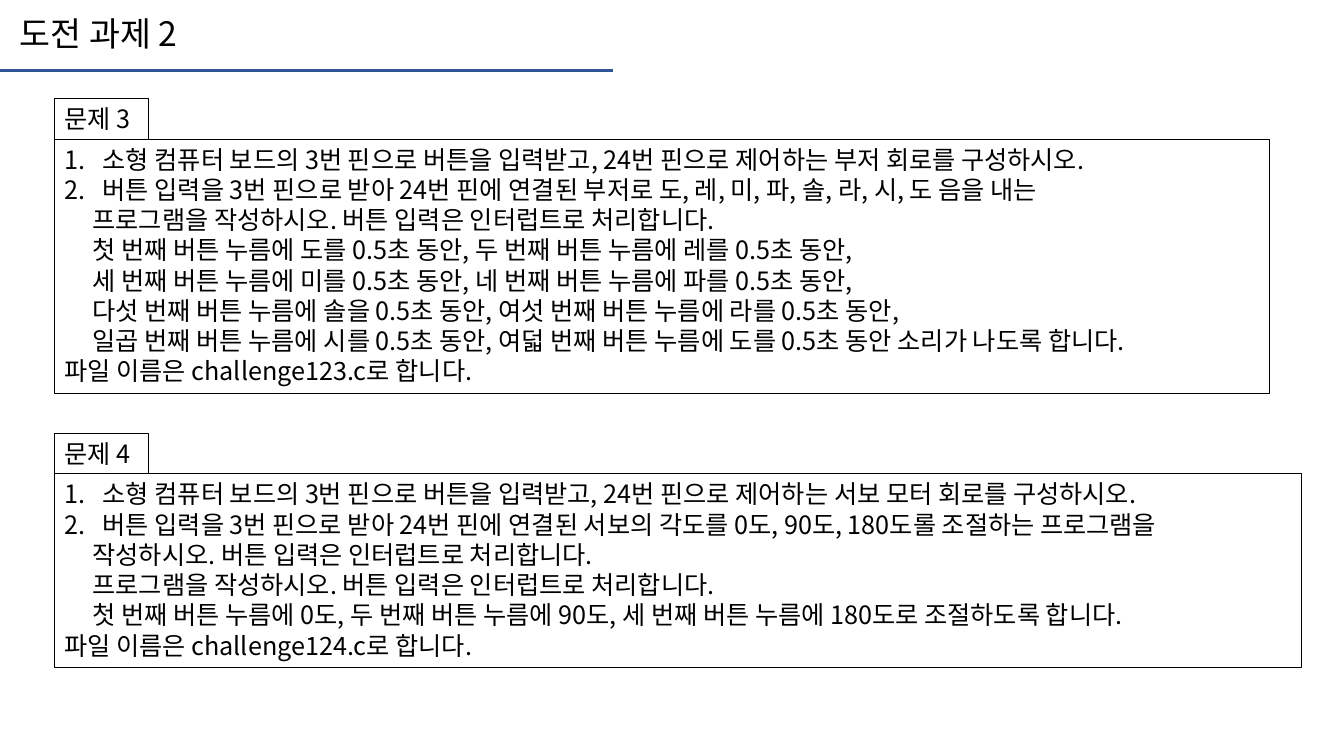
from lxml.etree import SubElement
from pptx import Presentation
from pptx.dml.color import RGBColor
from pptx.enum.shapes import MSO_CONNECTOR, MSO_SHAPE
from pptx.enum.text import MSO_ANCHOR, PP_ALIGN
from pptx.oxml.ns import qn
from pptx.util import Inches, Pt

COLORS = {"ink": "000000", "rule": "2F5597"}
FACE = "Noto Sans CJK KR"
UNIT = Inches(0.1)
COLS, ROWS = 133.33, 75
TAB_W, TAB_H = 9.3, 4
LINE_H, PAD_H = 3, 1.2

BUZZER = [
    "소형 컴퓨터 보드의 3번 핀으로 버튼을 입력받고, 24번 핀으로 제어하는 부저 회로를 구성하시오.",
    "버튼 입력을 3번 핀으로 받아 24번 핀에 연결된 부저로 도, 레, 미, 파, 솔, 라, 시, 도 음을 내는",
    "프로그램을 작성하시오. 버튼 입력은 인터럽트로 처리합니다.",
    "첫 번째 버튼 누름에 도를 0.5초 동안, 두 번째 버튼 누름에 레를 0.5초 동안,",
    "세 번째 버튼 누름에 미를 0.5초 동안, 네 번째 버튼 누름에 파를 0.5초 동안,",
    "다섯 번째 버튼 누름에 솔을 0.5초 동안, 여섯 번째 버튼 누름에 라를 0.5초 동안,",
    "일곱 번째 버튼 누름에 시를 0.5초 동안, 여덟 번째 버튼 누름에 도를 0.5초 동안 소리가 나도록 합니다.",
    "파일 이름은 challenge123.c로 합니다.",
]
SERVO = [
    "소형 컴퓨터 보드의 3번 핀으로 버튼을 입력받고, 24번 핀으로 제어하는 서보 모터 회로를 구성하시오.",
    "버튼 입력을 3번 핀으로 받아 24번 핀에 연결된 서보의 각도를 0도, 90도, 180도롤 조절하는 프로그램을",
    "작성하시오. 버튼 입력은 인터럽트로 처리합니다.",
    "프로그램을 작성하시오. 버튼 입력은 인터럽트로 처리합니다.",
    "첫 번째 버튼 누름에 0도, 두 번째 버튼 누름에 90도, 세 번째 버튼 누름에 180도로 조절하도록 합니다.",
    "파일 이름은 challenge124.c로 합니다.",
]


def grid(*cells):
    """Turn columns and rows into slide lengths."""
    return [round(cell * UNIT) for cell in cells]


def color(name):
    """Look up a named colour."""
    return RGBColor.from_string(COLORS[name])


def write(para, text, size=18, align=PP_ALIGN.LEFT, indent=0, number=False):
    """Fill one paragraph with formatted text."""
    props = para._p.get_or_add_pPr()
    if indent:
        props.set("marL", str(Inches(indent)))
    if number:
        props.set("indent", str(-Inches(indent)))
        SubElement(props, qn("a:buFont"), typeface="+mj-lt")
        SubElement(props, qn("a:buAutoNum"), type="arabicPeriod")
    para.alignment = align
    para.line_spacing = Pt(size * 1.2)
    run = para.add_run()
    run.text = text
    font = run.font
    font.size, font.name = Pt(size), FACE
    font.color.rgb = color("ink")
    SubElement(run._r.get_or_add_rPr(), qn("a:ea"), typeface=FACE)


def setup(frame):
    """Set wrapping, anchor and margins of a text frame."""
    frame.word_wrap = True
    frame.vertical_anchor = MSO_ANCHOR.TOP
    frame.margin_right = 0
    return frame


def panel(group, *box):
    """Draw an outlined box and return its text frame."""
    shape = group.shapes.add_shape(MSO_SHAPE.RECTANGLE, *grid(*box))
    shape.shadow.inherit = False
    shape.fill.background()
    shape.line.color.rgb = color("ink")
    shape.line.width = Pt(0.75)
    return setup(shape.text_frame)


def header(slide, left, top, width, height, text):
    """Place the slide title and the rule below it."""
    box = slide.shapes.add_textbox(*grid(left + 1, top + 0.8, width / 2, 5))
    write(setup(box.text_frame).paragraphs[0], text, size=24)
    ends = grid(left, top + height, left + width, top + height)
    rule = slide.shapes.add_connector(MSO_CONNECTOR.STRAIGHT, *ends)
    rule.line.color.rgb = color("rule")
    rule.line.width = Pt(2)
    SubElement(rule._element.spPr, qn("a:effectLst"))


def problem(slide, left, top, width, title, lines, align):
    """Place a title tab with its numbered task box below."""
    group = slide.shapes.add_group_shape()
    tab = panel(group, left, top, TAB_W, TAB_H)
    write(tab.paragraphs[0], title)
    body = panel(group, left, top + TAB_H, width, LINE_H * len(lines) + PAD_H)
    last = len(lines) - 1
    for i, text in enumerate(lines):
        para = body.add_paragraph() if i else body.paragraphs[0]
        indent = 0.38 if i < 2 else 0.28 if i < last else 0
        write(para, text, align=align, indent=indent, number=i < 2)


def main():
    """Build and save the slide."""
    deck = Presentation()
    deck.slide_width, deck.slide_height = grid(COLS, ROWS)
    slide = deck.slides.add_slide(deck.slide_layouts[6])
    header(slide, 0, 0, 60.8, 7, "도전 과제 2")
    problem(slide, 5.4, 9.8, 120.5, "문제 3", BUZZER, PP_ALIGN.LEFT)
    problem(slide, 5.4, 43, 123.7, "문제 4", SERVO, PP_ALIGN.JUSTIFY)
    deck.save("out.pptx")


if __name__ == "__main__":
    main()
